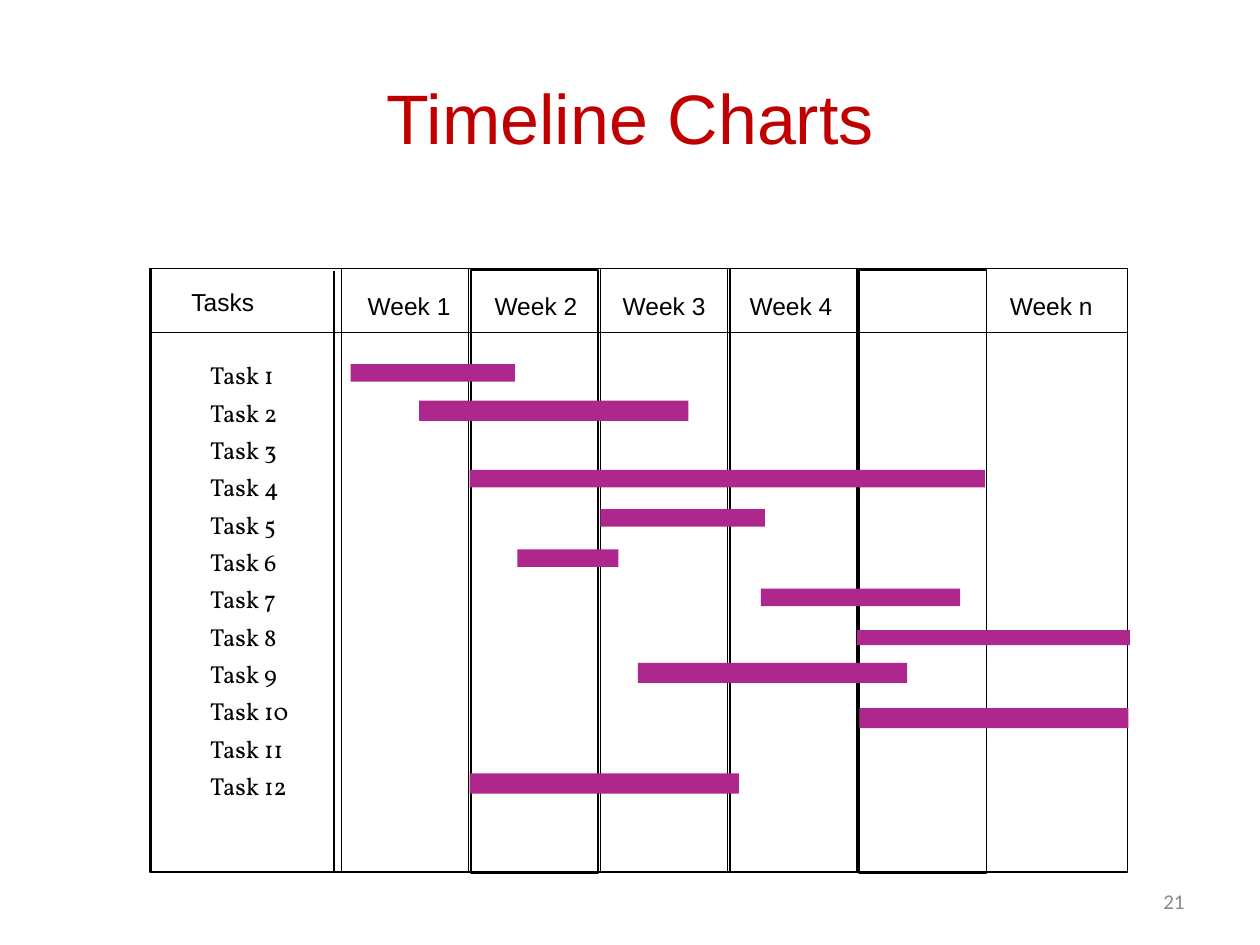
from collections import namedtuple

from lxml import etree
from pptx import Presentation, util as u
from pptx.dml.color import RGBColor
from pptx.enum import shapes, text
from pptx.oxml.ns import qn

BLACK = RGBColor(0x00, 0x00, 0x00)
RED = RGBColor(0xC0, 0x00, 0x00)
PURPLE = RGBColor(0xAD, 0x27, 0x8D)
GREY = RGBColor(0x89, 0x89, 0x89)

Box = namedtuple("Box", "left top width height")

# Chart grid, in inches
CHART = Box(1.19, 2.13, 7.76, 4.79)
HEADER_HEIGHT = 0.51
WEEKS_LEFT = 1.52     # from the chart's left edge
WEEK = 1.0275         # column pitch
WEEK_WIDTH = 1.01
ROWS_TOP = 0.68       # from the chart's top edge
ROW = 0.2964          # row pitch
LABEL_HEIGHT = 0.34

# Header label and its position in week columns
WEEK_LABELS = [("Week 1", 0), ("Week 2", 0.98), ("Week 3", 1.97),
               ("Week 4", 2.95), ("Week n", 4.96)]

# Start and length in week columns, top in task rows, height in inches
BARS = [
    (0.07, 1.27, 0.27, 0.14),
    (0.60, 2.08, 1.25, 0.16),
    (0.99, 3.98, 3.10, 0.14),
    (2.00, 1.27, 4.15, 0.14),
    (1.36, 0.78, 5.23, 0.14),
    (3.24, 1.54, 6.28, 0.14),
    (3.98, 2.11, 7.39, 0.12),
    (2.29, 2.08, 8.27, 0.16),
    (4.00, 2.08, 9.48, 0.16),
    (0.99, 2.08, 11.23, 0.16),
]


def inches(box):
    return [u.Inches(value) for value in box]


def format_font(paragraph, color, **values):
    for name, value in values.items():
        setattr(paragraph.font, name, value)
    paragraph.font.color.rgb = color


def add_label(slide, box, words, font="Arial", size=14, color=BLACK,
              align=text.PP_ALIGN.LEFT, anchor=text.MSO_ANCHOR.TOP, wrap=False):
    frame = slide.shapes.add_textbox(*inches(box)).text_frame
    frame.word_wrap = wrap
    frame.vertical_anchor = anchor
    paragraph = frame.paragraphs[0]
    paragraph.text = words
    paragraph.alignment = align
    format_font(paragraph, color, name=font, size=u.Pt(size))


def add_rectangle(slide, box, fill=None, line=None):
    shape = slide.shapes.add_shape(shapes.MSO_SHAPE.RECTANGLE, *inches(box))
    shape.shadow.inherit = False
    if fill is None:
        shape.fill.background()
    else:
        shape.fill.solid()
        shape.fill.fore_color.rgb = fill
    if line is None:
        shape.line.fill.background()
    else:
        shape.line.color.rgb = line
        shape.line.width = u.Pt(1)


def add_title(slide, box, words):
    title = slide.shapes.title
    title.left, title.top, title.width, title.height = inches(box)
    title.text_frame.text = words
    title.text_frame.vertical_anchor = text.MSO_ANCHOR.MIDDLE
    paragraph = title.text_frame.paragraphs[0]
    paragraph.alignment = text.PP_ALIGN.CENTER
    format_font(paragraph, RED, name="Arial", size=u.Pt(40))


def add_grid(slide, box):
    weeks_left = box.left + WEEKS_LEFT
    frames = [box, box._replace(height=HEADER_HEIGHT),
              box._replace(left=box.left + 0.01, width=WEEKS_LEFT - 0.01)]
    # The second and fifth week columns sit slightly lower
    frames += [Box(weeks_left + column * WEEK, box.top + (0.01 if column in (1, 4) else 0),
                   WEEK_WIDTH, box.height) for column in range(5)]
    for frame in frames:
        add_rectangle(slide, frame, line=BLACK)

    # Inner rule beside the task column
    rule_left = weeks_left - 0.06
    rule = slide.shapes.add_connector(
        shapes.MSO_CONNECTOR.STRAIGHT,
        *inches((rule_left, box.top + 0.02, rule_left, box.top + box.height)))
    rule.line.color.rgb = BLACK
    rule.line.width = u.Pt(1)
    etree.SubElement(rule._element.spPr, qn("a:effectLst"))


def add_headings(slide, box):
    add_label(slide, Box(box.left + 0.23, box.top + 0.1, 0.72, LABEL_HEIGHT), "Tasks")
    for words, column in WEEK_LABELS:
        left = box.left + WEEKS_LEFT + 0.11 + column * WEEK
        add_label(slide, Box(left, box.top + 0.13, 0.86, LABEL_HEIGHT), words)


def add_tasks(slide, box):
    for row in range(12):
        width = 0.75 if row < 9 else 0.87
        add_label(slide, Box(box.left + 0.38, box.top + ROWS_TOP + row * ROW,
                             width, LABEL_HEIGHT), f"Task {row + 1}", "Vollkorn")


def add_bars(slide, box):
    for start, length, row, height in BARS:
        add_rectangle(slide, Box(box.left + WEEKS_LEFT + start * WEEK,
                                 box.top + ROWS_TOP + row * ROW,
                                 length * WEEK, height), fill=PURPLE)


def main():
    presentation = Presentation()
    presentation.slide_width, presentation.slide_height = u.Inches(10), u.Inches(7.5)
    slide = presentation.slides.add_slide(presentation.slide_layouts.get_by_name("Title Only"))

    # Slide number and title
    add_label(slide, Box(7.17, 6.95, 2.33, 0.4), "21", "Calibri", 12, GREY,
              text.PP_ALIGN.RIGHT, text.MSO_ANCHOR.MIDDLE, wrap=True)
    add_title(slide, Box(0.5, 0.3, 9, 1.25), "Timeline Charts")

    # Timeline chart
    for add_part in (add_grid, add_headings, add_tasks, add_bars):
        add_part(slide, CHART)

    presentation.save("out.pptx")


if __name__ == "__main__":
    main()
